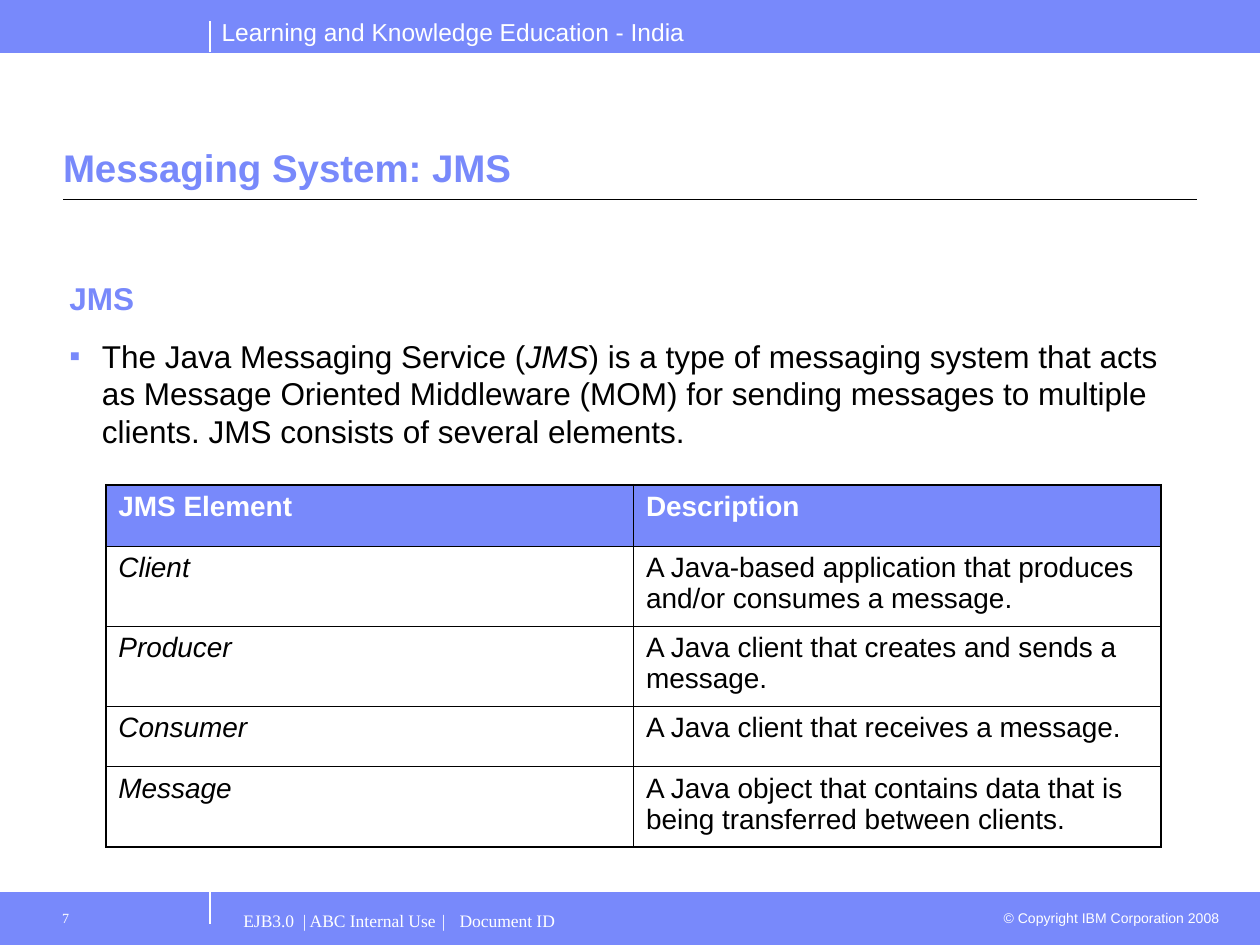
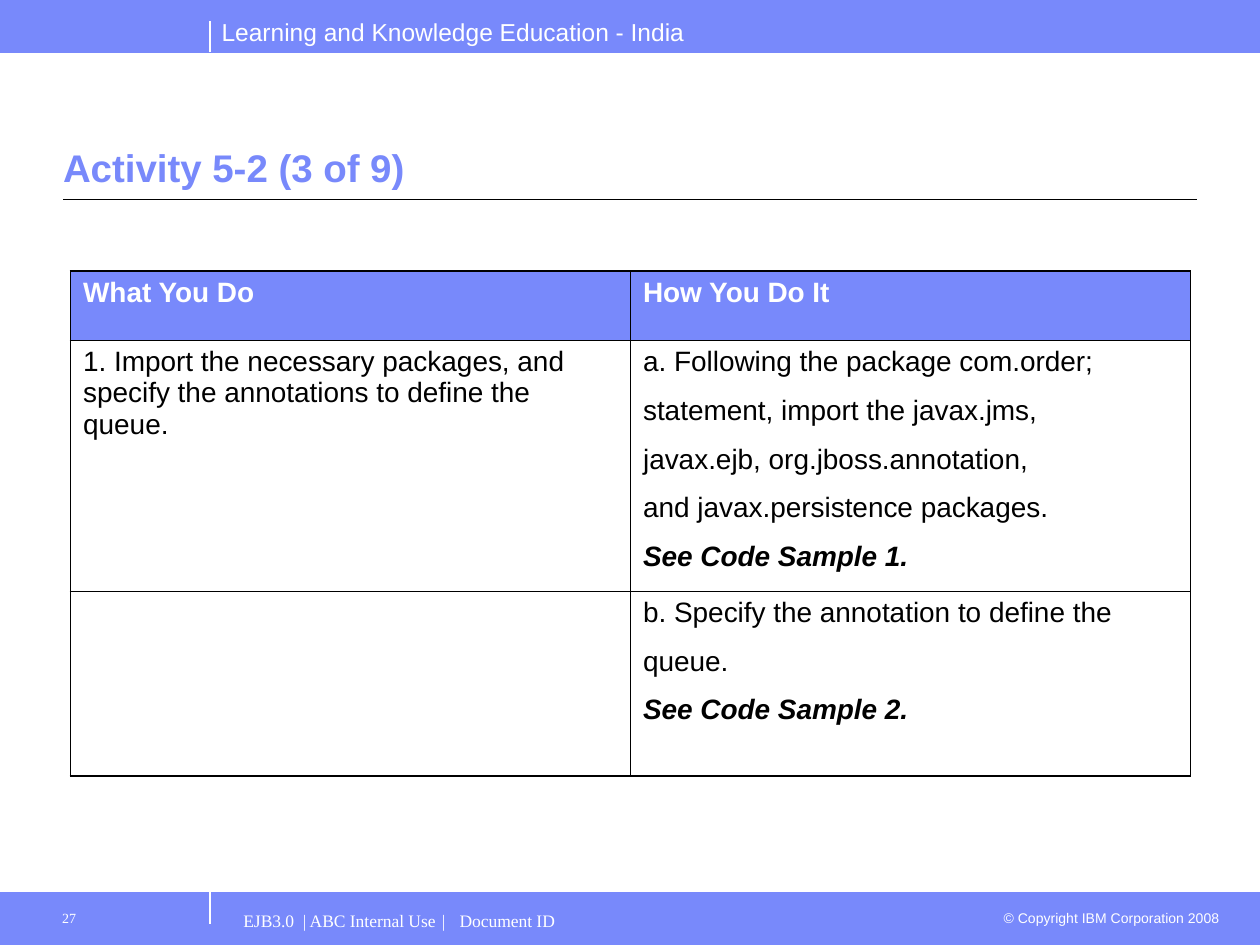
import dataclasses

import lxml.etree
import pptx
import pptx.dml.color
import pptx.enum.shapes
import pptx.enum.text
import pptx.oxml.ns
import pptx.util

Pt = pptx.util.Pt
qn = pptx.oxml.ns.qn


@dataclasses.dataclass(frozen=True)
class Theme:
    accent: str = "7889FB"
    light: str = "FFFFFF"
    dark: str = "000000"
    sans: str = "Arial"
    serif: str = "Times New Roman"
    title_size: float = 22
    body_size: float = 18
    table_size: float = 16
    header_size: float = 14
    footer_size: float = 10
    small_size: float = 8
    outer_border: float = 1.08
    inner_border: float = 0.45


THEME = Theme()
PAGE_WIDTH, PAGE_HEIGHT = 720, 540
BAND_HEIGHT = 30
FOOTER_TOP = PAGE_HEIGHT - BAND_HEIGHT
DIVIDER_X = 120
MARGIN = 36
RULE_Y = 114

JMS_ROWS = [
    ("JMS Element", "Description"),
    ("Client", "A Java-based application that produces and/or consumes a message."),
    ("Producer", "A Java client that creates and sends a message."),
    ("Consumer", "A Java client that receives a message."),
    ("Message", "A Java object that contains data that is being transferred between clients."),
]
ACTIVITY_ROWS = [
    ("What You Do", "How You Do It"),
    (
        "1. Import the necessary packages, and specify the annotations to define the queue.",
        "a. Following the package com.order;\n"
        "statement, import the javax.jms,\n"
        "javax.ejb, org.jboss.annotation,\n"
        "and javax.persistence packages.\n"
        "See Code Sample 1.",
    ),
    ("", "b. Specify the annotation to define the\nqueue.\nSee Code Sample 2."),
]


def rgb(color):
    return pptx.dml.color.RGBColor.from_string(color)


def add_run(para, text, size, color, face=THEME.sans, bold=False, italic=False):
    span = para.add_run()
    span.text = text
    font = span.font
    font.size, font.name, font.bold, font.italic = Pt(size), face, bold, italic
    font.color.rgb = rgb(color)


def set_insets(frame, left, top, right, bottom):
    frame.margin_left, frame.margin_top = Pt(left), Pt(top)
    frame.margin_right, frame.margin_bottom = Pt(right), Pt(bottom)


def add_box(page, left, top, width, height, insets=(7.2, 3.6, 7.2, 3.6), wrap=True):
    """Add an empty text box and return its text frame."""
    box = page.shapes.add_textbox(Pt(left), Pt(top), Pt(width), Pt(height))
    box.text_frame.word_wrap = wrap
    set_insets(box.text_frame, *insets)
    return box.text_frame


def add_band(page, top):
    band = page.shapes.add_shape(
        pptx.enum.shapes.MSO_SHAPE.RECTANGLE, 0, Pt(top), Pt(PAGE_WIDTH), Pt(BAND_HEIGHT)
    )
    band.shadow.inherit = False
    band.fill.solid()
    band.fill.fore_color.rgb = rgb(THEME.accent)
    band.line.color.rgb = rgb(THEME.accent)
    band.line.width = Pt(0.75)


def add_line(page, x1, y1, x2, y2, color):
    line = page.shapes.add_connector(
        pptx.enum.shapes.MSO_CONNECTOR.STRAIGHT, Pt(x1), Pt(y1), Pt(x2), Pt(y2)
    )
    line.line.color.rgb = rgb(color)
    line.line.width = Pt(0.75)
    lxml.etree.SubElement(line._element.spPr, qn("a:effectLst"))


def add_tab_stops(para, positions):
    stops = lxml.etree.SubElement(para._p.get_or_add_pPr(), qn("a:tabLst"))
    for position in positions:
        lxml.etree.SubElement(stops, qn("a:tab"), pos=str(Pt(position)), algn="l")


def add_bullet(para, symbol, color, indent):
    properties = para._p.get_or_add_pPr()
    properties.set("marL", str(Pt(indent)))
    properties.set("indent", str(-Pt(indent)))
    bullet_color = lxml.etree.SubElement(properties, qn("a:buClr"))
    lxml.etree.SubElement(bullet_color, qn("a:srgbClr"), val=color)
    lxml.etree.SubElement(properties, qn("a:buFont"), typeface=THEME.sans)
    lxml.etree.SubElement(properties, qn("a:buChar"), char=symbol)


def add_header(page):
    add_band(page, 0)
    add_line(page, DIVIDER_X, BAND_HEIGHT, DIVIDER_X, 12, THEME.light)
    frame = add_box(page, 119.5, 6, 279, 24, wrap=False)
    add_run(frame.paragraphs[0], "Learning and Knowledge Education - India",
            THEME.header_size, THEME.light)


def add_footer(page, number):
    add_band(page, FOOTER_TOP)
    add_line(page, DIVIDER_X, 528, DIVIDER_X, FOOTER_TOP, THEME.light)

    para = add_box(page, 564, 516, 140, 17).paragraphs[0]
    para.alignment = pptx.enum.text.PP_ALIGN.RIGHT
    add_run(para, "© Copyright IBM Corporation 2008", THEME.small_size, THEME.light)

    para = add_box(page, 132, 515, 432, 25, (7.2, 5, 7.2, 3.6)).paragraphs[0]
    add_tab_stops(para, (34, 113.5, 123.5))
    add_run(para, "EJB3.0\t| ABC Internal Use\t|\tDocument ID",
            THEME.footer_size, THEME.light, THEME.serif)

    para = add_box(page, 24, 515, 96, 25, (11.5, 5, 7.2, 3.6)).paragraphs[0]
    add_run(para, str(number), THEME.small_size, THEME.light, THEME.serif)


def set_title(page, text):
    title = page.shapes.title
    title.left, title.top = Pt(MARGIN), Pt(46)
    title.width, title.height = Pt(PAGE_WIDTH - 2 * MARGIN), Pt(66.5)
    frame = title.text_frame
    frame.vertical_anchor = pptx.enum.text.MSO_ANCHOR.BOTTOM
    frame.auto_size = pptx.enum.text.MSO_AUTO_SIZE.NONE
    set_insets(frame, 0, 3.6, 0, 3.6)
    para = frame.paragraphs[0]
    para.alignment = pptx.enum.text.PP_ALIGN.LEFT
    add_run(para, text, THEME.title_size, THEME.accent, bold=True)


def add_page(deck, title, number):
    """Add a slide with its title, rule, header and footer."""
    page = deck.slides.add_slide(deck.slide_layouts[5])
    add_header(page)
    add_footer(page, number)
    add_line(page, MARGIN, RULE_Y, PAGE_WIDTH - MARGIN, RULE_Y, THEME.dark)
    set_title(page, title)
    return page


def set_borders(cell, widths):
    """Draw the left, right, top and bottom borders, in that order."""
    properties = cell._tc.get_or_add_tcPr()
    for index, (side, width) in enumerate(zip("LRTB", widths)):
        border = lxml.etree.Element(qn(f"a:ln{side}"), w=str(Pt(width)))
        fill = lxml.etree.SubElement(border, qn("a:solidFill"))
        lxml.etree.SubElement(fill, qn("a:srgbClr"), val=THEME.dark)
        properties.insert(index, border)


def fill_cell(cell, text, is_header, italic):
    cell.fill.solid()
    cell.fill.fore_color.rgb = rgb(THEME.accent if is_header else THEME.light)
    set_insets(cell, 7.2, 3.6, 7.2, 3.6)
    if not text:
        return
    for index, line in enumerate(text.split("\n")):
        para = cell.text_frame.add_paragraph() if index else cell.text_frame.paragraphs[0]
        para.space_after = Pt(10)
        is_reference = line.startswith("See Code")
        add_run(para, line, THEME.table_size, THEME.light if is_header else THEME.dark,
                bold=is_header or is_reference, italic=italic or is_reference)


def add_grid(page, rows, left, top, column_width, row_heights, italic_names=False):
    """Add a table with a filled first row and a heavier outer border."""
    row_count, column_count = len(rows), len(rows[0])
    table = page.shapes.add_table(
        row_count, column_count, Pt(left), Pt(top),
        Pt(column_width * column_count), Pt(sum(row_heights)),
    ).table
    table.first_row = table.horz_banding = False
    for column in table.columns:
        column.width = Pt(column_width)
    for r, (texts, height) in enumerate(zip(rows, row_heights)):
        table.rows[r].height = Pt(height)
        for c, text in enumerate(texts):
            cell = table.cell(r, c)
            fill_cell(cell, text, r == 0, italic_names and r > 0 and c == 0)
            outer_sides = (c == 0, c == column_count - 1, r == 0, r == row_count - 1)
            set_borders(cell, [THEME.outer_border if outer else THEME.inner_border
                               for outer in outer_sides])


def add_jms_intro(page):
    frame = add_box(page, MARGIN, 156, PAGE_WIDTH - 2 * MARGIN, 326, (3.6, 3.6, 3.6, 3.6))
    heading = frame.paragraphs[0]
    heading.space_after = Pt(11.2)
    add_run(heading, "JMS", THEME.body_size, THEME.accent, bold=True)

    para = frame.add_paragraph()
    add_bullet(para, "▪", THEME.accent, 18.7)
    para.space_after = Pt(11.2)
    for text, italic in (
        ("The Java Messaging Service (", False),
        ("JMS", True),
        (") is a type of messaging system that acts as Message Oriented Middleware (MOM) "
         "for sending messages to multiple clients. JMS consists of several elements.", False),
    ):
        add_run(para, text, THEME.body_size, THEME.dark, italic=italic)


def main():
    deck = pptx.Presentation()
    deck.slide_width, deck.slide_height = Pt(PAGE_WIDTH), Pt(PAGE_HEIGHT)

    page = add_page(deck, "Messaging System: JMS", 7)
    add_jms_intro(page)
    add_grid(page, JMS_ROWS, 60.5, 277, 301.5, (35, 45.7, 45.7, 34.8, 45.7), italic_names=True)

    page = add_page(deck, "Activity 5-2 (3 of 9)", 27)
    add_grid(page, ACTIVITY_ROWS, 40.3, 155, 320, (39.5, 143.4, 105.6))

    deck.save("out.pptx")


if __name__ == "__main__":
    main()
